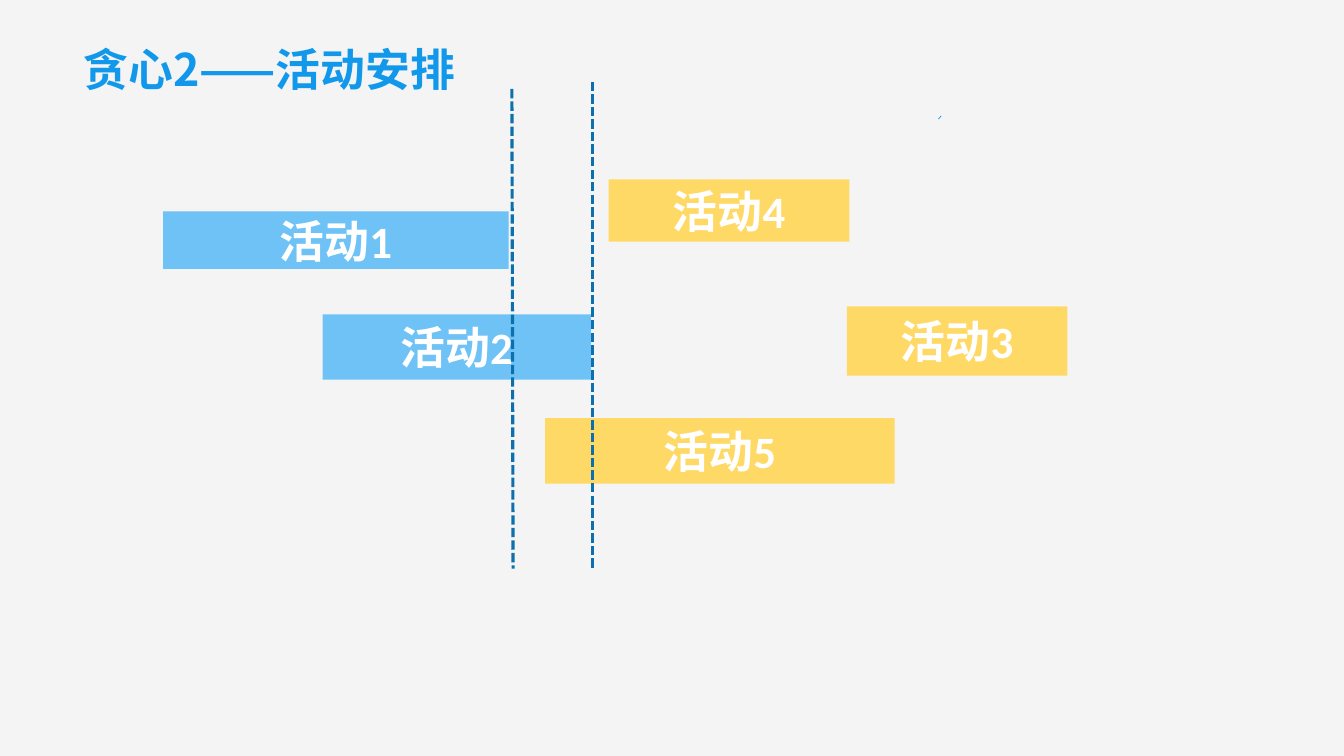
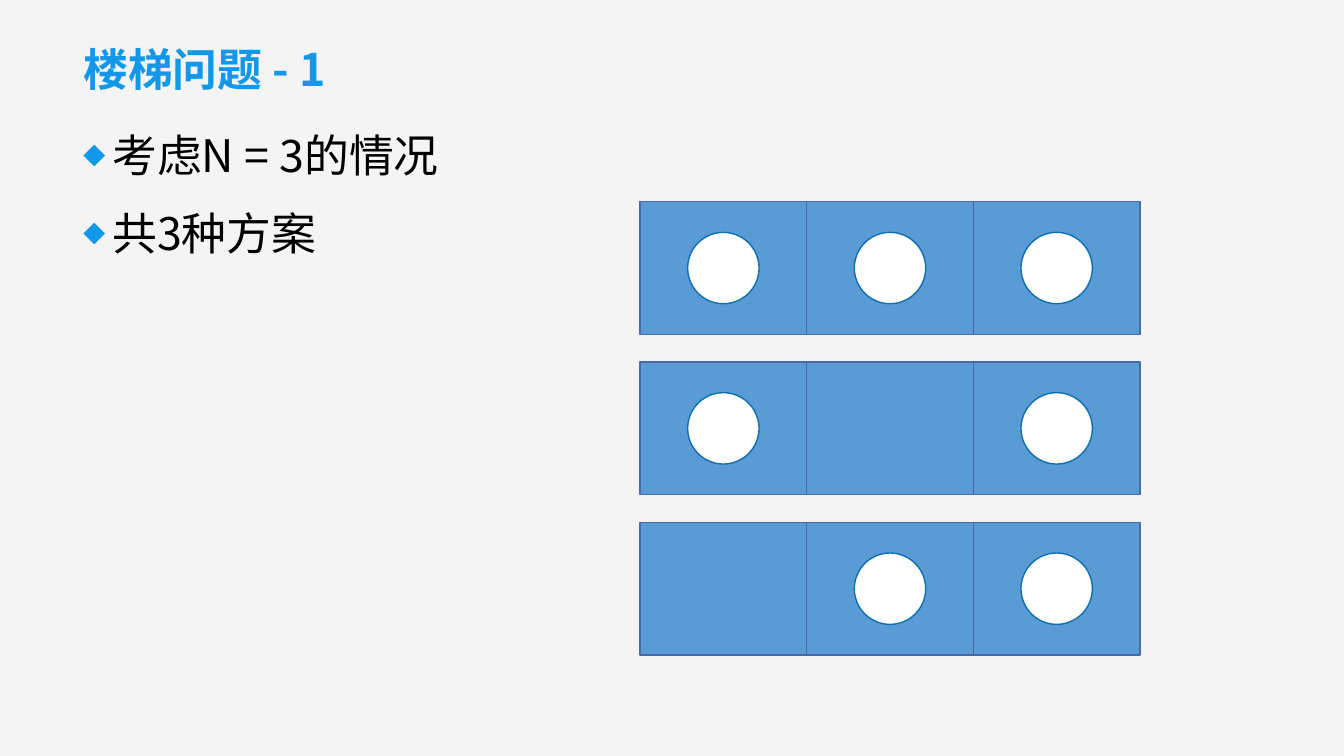
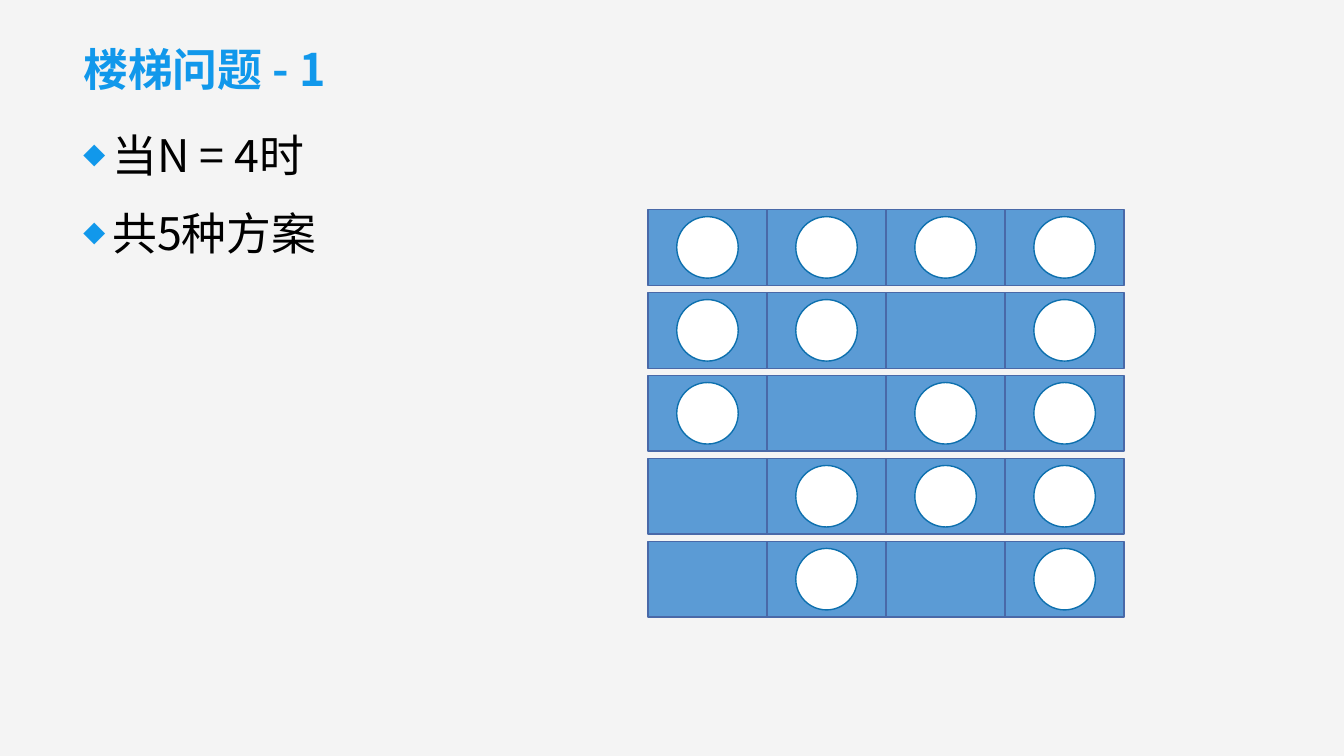
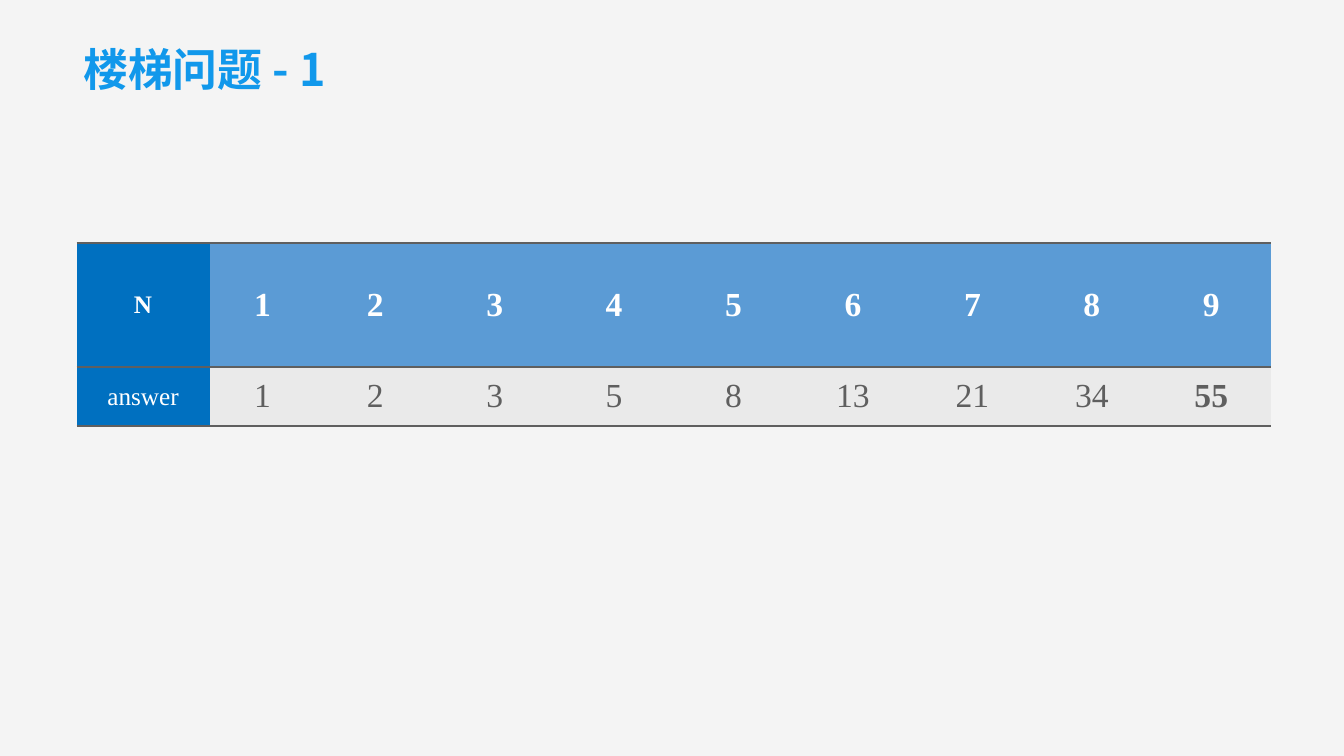
from lxml.etree import SubElement
from pptx import Presentation
from pptx.dml.color import RGBColor
from pptx.enum.dml import MSO_LINE
from pptx.enum.shapes import MSO_CONNECTOR, MSO_SHAPE as Preset
from pptx.enum.text import MSO_ANCHOR as Anchor, PP_ALIGN as Align
from pptx.oxml.ns import qn
from pptx.util import Cm, Pt

COLORS = {
    "background": "F4F4F4", "accent": "1198EB", "dark_blue": "0D70AE",
    "chosen": "6FC2F5", "candidate": "FFD966",
    "stair": "5B9BD5", "stair_edge": "4969A8",
    "label": "0070C0", "answer": "EAEAEA", "gray": "5F5F5F",
    "white": "FFFFFF", "black": "000000",
}
HEADING_FONT = "Noto Sans CJK SC"
BAR_FONT = "Calibri"
TABLE_FONT = "Times New Roman"


def color(name):
    return RGBColor.from_string(COLORS[name])


def write(para, text, font=HEADING_FONT, size=32, fill="black", bold=False,
          align=None, spacing=None, before=None):
    """Add one formatted span of text to a paragraph."""
    para.alignment = align
    if spacing:
        para.line_spacing = spacing
    if before:
        para.space_before = Pt(before)
    span = para.add_run()
    span.text = text
    span.font.name = font
    span.font.size = Pt(size)
    span.font.bold = bold
    span.font.color.rgb = color(fill)
    # East Asian glyphs need their own typeface entry
    SubElement(span._r.get_or_add_rPr(), qn("a:ea"), typeface=HEADING_FONT)


def add_bullet(para):
    """Give a paragraph a hanging, half-size diamond."""
    props = para._p.get_or_add_pPr()
    props.set("marL", str(Cm(0.73)))
    props.set("indent", str(-Cm(0.73)))
    bullet_color = SubElement(props, qn("a:buClr"))
    SubElement(bullet_color, qn("a:srgbClr"), val=COLORS["accent"])
    SubElement(props, qn("a:buSzPct"), val="50000")
    SubElement(props, qn("a:buFont"), typeface=HEADING_FONT)
    SubElement(props, qn("a:buChar"), char="◆")


def set_borders(cell, top, bottom):
    """Rule a cell above and below (widths in points), never at its sides."""
    props = cell._tc.get_or_add_tcPr()
    for side, width in (("L", 0), ("R", 0), ("T", top), ("B", bottom)):
        edge = SubElement(props, qn(f"a:ln{side}"), w=str(Pt(width)))
        if width:
            paint = SubElement(edge, qn("a:solidFill"))
            SubElement(paint, qn("a:srgbClr"), val=COLORS["gray"])
        else:
            SubElement(edge, qn("a:noFill"))


class Slides:
    """Holds the deck, its style and the current page."""

    def __init__(self):
        self.deck = Presentation()
        self.deck.slide_width, self.deck.slide_height = Cm(33.87), Cm(19.05)
        backdrop = self.deck.slide_master.background.fill
        backdrop.solid()
        backdrop.fore_color.rgb = color("background")
        self.page = None

    def new_page(self, title):
        self.page = self.deck.slides.add_slide(self.deck.slide_layouts[6])
        frame = self.text_frame(1.85, 0.58, 30.1, 1.96, Anchor.BOTTOM)
        write(frame.paragraphs[0], title, fill="accent", bold=True, spacing=0.9)

    def text_frame(self, left, top, width, height, anchor=Anchor.TOP):
        box = self.page.shapes.add_textbox(Cm(left), Cm(top), Cm(width), Cm(height))
        frame = box.text_frame
        frame.word_wrap = True
        frame.vertical_anchor = anchor
        return frame

    def bullets(self, *lines):
        frame = self.text_frame(1.85, 2.97, 30.1, 14.43)
        for index, line in enumerate(lines):
            para = frame.add_paragraph() if index else frame.paragraphs[0]
            write(para, line, align=Align.JUSTIFY, spacing=1.1, before=13.5)
            add_bullet(para)

    def shape(self, preset, left, top, width, height, fill, edge=None):
        shape = self.page.shapes.add_shape(
            preset, Cm(left), Cm(top), Cm(width), Cm(height))
        shape.shadow.inherit = False
        shape.fill.solid()
        shape.fill.fore_color.rgb = color(fill)
        if edge:
            shape.line.color.rgb = color(edge)
            shape.line.width = Pt(1)
        else:
            shape.line.fill.background()
        return shape

    def bar(self, text, left, top, width, height, fill):
        frame = self.shape(Preset.RECTANGLE, left, top, width, height, fill).text_frame
        frame.vertical_anchor = Anchor.MIDDLE
        write(frame.paragraphs[0], text, font=BAR_FONT, fill="white", bold=True,
              align=Align.CENTER)

    def line(self, start, end, stroke, width, dash=None):
        line = self.page.shapes.add_connector(
            MSO_CONNECTOR.STRAIGHT, *map(Cm, start + end))
        line.line.color.rgb = color(stroke)
        line.line.width = Pt(width)
        if dash:
            line.line.dash_style = dash
        SubElement(line._element.spPr, qn("a:effectLst"))

    def stairs(self, plans, left, top, cell_width, cell_height, pitch, dot):
        """Draw one row of cells per plan; each O is a step that is used."""
        for row, plan in enumerate(plans):
            y = top + row * pitch
            for column, step in enumerate(plan):
                x = left + column * cell_width
                self.shape(Preset.RECTANGLE, x, y, cell_width, cell_height,
                           "stair", "stair_edge")
                if step == "O":
                    self.shape(Preset.OVAL, x + (cell_width - dot) / 2,
                               y + (cell_height - dot) / 2, dot, dot,
                               "white", "dark_blue")

    def table(self, rows, left, top, widths, heights):
        table = self.page.shapes.add_table(
            len(rows), len(widths), Cm(left), Cm(top),
            Cm(sum(widths)), Cm(sum(heights))).table
        table.first_row = table.horz_banding = False
        for column, width in zip(table.columns, widths):
            column.width = Cm(width)
        for r, (values, height) in enumerate(zip(rows, heights)):
            table.rows[r].height = Cm(height)
            for c, value in enumerate(values):
                header, label = r == 0, c == 0
                cell = table.cell(r, c)
                set_borders(cell, *((2, 1.5) if header else (1.5, 2)))
                cell.fill.solid()
                cell.fill.fore_color.rgb = color(
                    "label" if label else "stair" if header else "answer")
                cell.vertical_anchor = Anchor.MIDDLE
                write(cell.text_frame.paragraphs[0], str(value), font=TABLE_FONT,
                      size=18 if label else 24,
                      fill="white" if header or label else "gray",
                      bold=header or c == len(values) - 1, align=Align.CENTER)


slides = Slides()

# Activity selection: bars on a time axis, with two finishing times
slides.new_page("贪心2——活动安排")
for number, left, top, width, height, fill in (
        (1, 4.11, 5.33, 8.71, 1.45, "chosen"),
        (5, 13.74, 10.54, 8.81, 1.65, "candidate"),
        (4, 15.34, 4.52, 6.07, 1.57, "candidate"),
        (3, 21.34, 7.72, 5.56, 1.75, "candidate"),
        (2, 8.13, 7.92, 6.76, 1.65, "chosen")):
    slides.bar(f"活动{number}", left, top, width, height, fill)
for start, end in (((12.9, 2.24), (12.93, 14.33)), ((14.94, 2.06), (14.94, 14.33))):
    slides.line(start, end, "dark_blue", 2.25, MSO_LINE.SQUARE_DOT)
slides.line((23.65, 3.0), (23.72, 2.92), "accent", 0.5)

# Stairs with three steps
STAIRS_TITLE = "楼梯问题 - 1"
slides.new_page(STAIRS_TITLE)
slides.bullets("考虑N = 3的情况", "共3种方案")
slides.stairs(("OOO", "O-O", "-OO"), left=16.13, top=5.08,
              cell_width=4.2, cell_height=3.35, pitch=4.04, dot=1.8)

# Stairs with four steps
slides.new_page(STAIRS_TITLE)
slides.bullets("当N = 4时", "共5种方案")
slides.stairs(("OOOO", "OO-O", "O-OO", "-OOO", "-O-O"), left=16.33, top=5.28,
              cell_width=3, cell_height=1.91, pitch=2.09, dot=1.55)

# Number of plans for each number of steps
slides.new_page(STAIRS_TITLE)
slides.table((["N", *range(1, 10)], ["answer", 1, 2, 3, 5, 8, 13, 21, 34, 55]),
             left=1.93, top=6.12, widths=[3.35, 2.67] + [3.01] * 8,
             heights=[3.12, 1.5])

slides.deck.save("out.pptx")
